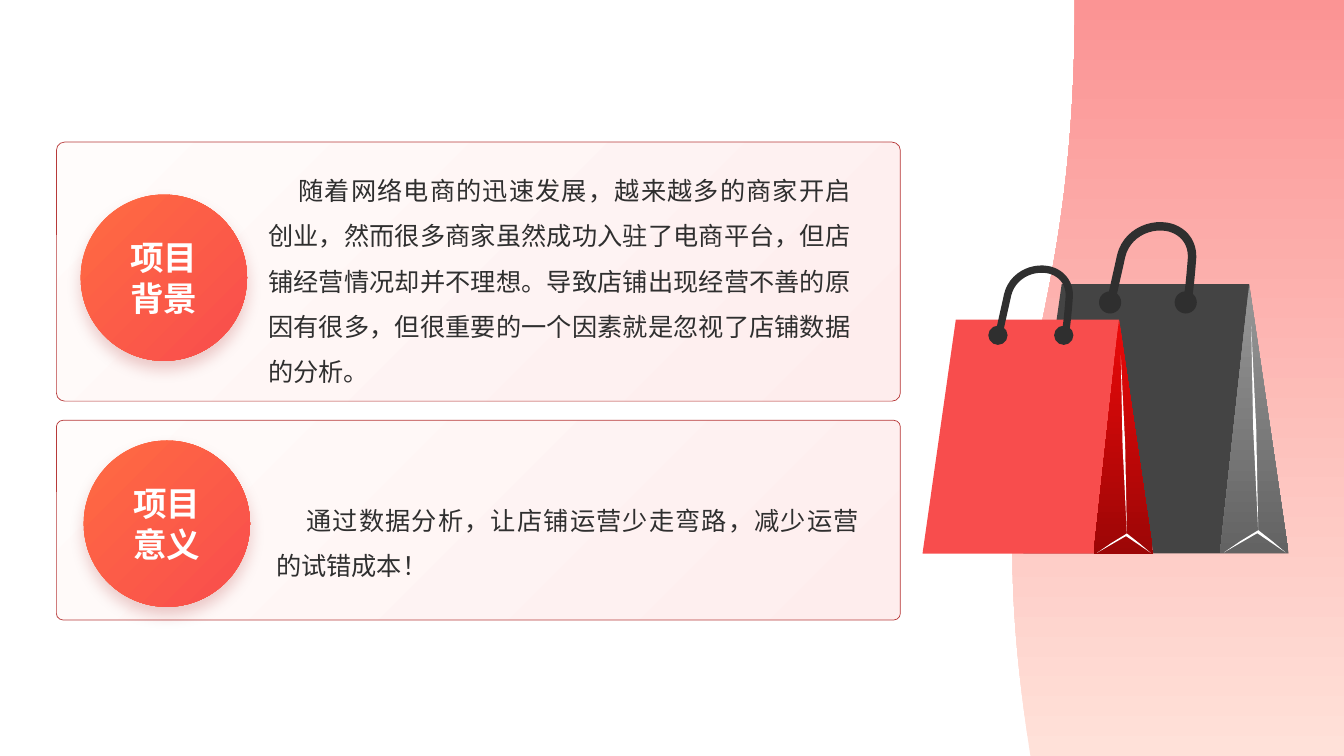
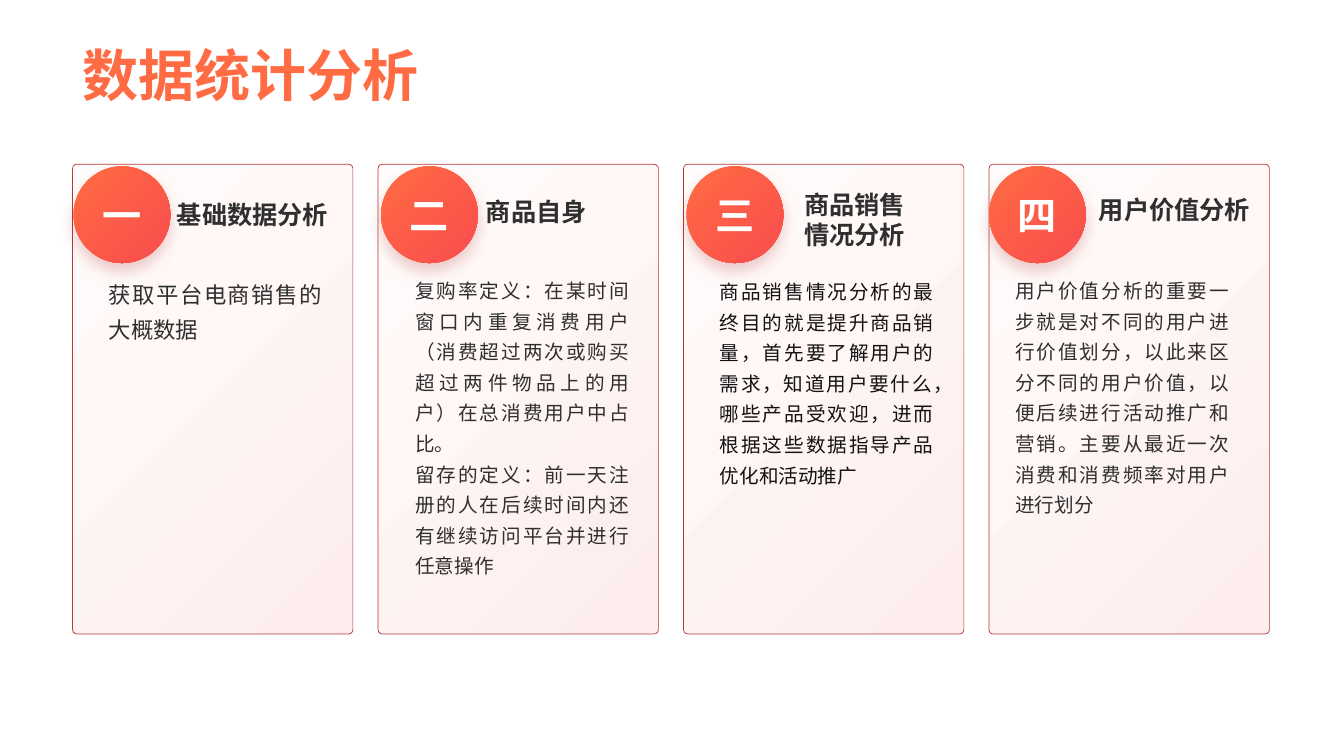
from dataclasses import dataclass

from lxml.etree import SubElement
from pptx import Presentation
from pptx.dml.color import RGBColor
from pptx.enum.shapes import MSO_SHAPE as Shape
from pptx.enum.text import MSO_ANCHOR as Anchor, MSO_AUTO_SIZE as AutoSize, PP_ALIGN as Align
from pptx.oxml.ns import qn
from pptx.util import Inches, Pt


@dataclass(frozen=True)
class Theme:
    ink: str = "2F2F2F"
    black: str = "121212"
    white: str = "FFFFFF"
    coral: str = "FF6B42"
    border: str = "B73939"
    shadow: str = "9C0606"
    panel: tuple = ("FFFCFB", "FEEDED")
    badge: tuple = ("FF6B42", "F84D4D")
    wave: tuple = ("FFE1D9", "FB9494")
    dark_bag: tuple = ("444444", ("979797", "636363"))
    red_bag: tuple = ("F84D4D", ("EB0909", "9C0606"))
    latin: str = "Arial"
    latin_alt: str = "Calibri"
    chinese: str = "Noto Sans CJK SC"
    title_size: int = 40
    number_size: int = 28
    badge_size: int = 24
    text_size: int = 18
    lead_size: int = 16
    small_size: int = 14


theme = Theme()


def decorate(shape, colours=None, angle=45, border=None, width=0.5):
    """Fill with one colour, a gradient pair turned clockwise by angle, or nothing."""
    shape.shadow.inherit = False
    if colours is None:
        shape.fill.background()
    elif isinstance(colours, str):
        shape.fill.solid()
        shape.fill.fore_color.rgb = RGBColor.from_string(colours)
    else:
        shape.fill.gradient()
        shape.fill.gradient_angle = -angle % 360
        for stop, colour in zip(shape.fill.gradient_stops, colours):
            stop.color.rgb = RGBColor.from_string(colour)
    if border:
        shape.line.color.rgb = RGBColor.from_string(border)
        shape.line.width = Pt(width)
    else:
        shape.line.fill.background()


def write(frame, text, size=theme.text_size, colour=theme.ink, font=theme.latin, bold=False,
          align=Align.LEFT, spacing=1.0, indent=0, anchor=Anchor.TOP, fit=AutoSize.NONE):
    frame.word_wrap = True
    frame.auto_size = fit
    frame.vertical_anchor = anchor
    for index, line in enumerate(text.split("\n")):
        para = frame.add_paragraph() if index else frame.paragraphs[0]
        para.alignment = align
        para.line_spacing = spacing
        if indent:
            para._p.get_or_add_pPr().set("indent", str(Inches(indent)))
        span = para.add_run()
        span.text = line
        span.font.size = Pt(size)
        span.font.bold = bold
        span.font.name = font
        span.font.color.rgb = RGBColor.from_string(colour)
        properties = span._r.get_or_add_rPr()
        properties.set("lang", "zh-CN")
        SubElement(properties, qn("a:ea"), typeface=theme.chinese)


deck = Presentation()
deck.slide_width, deck.slide_height = Inches(13.33), Inches(7.5)
project = deck.slides.add_slide(deck.slide_layouts[6])
analysis = deck.slides.add_slide(deck.slide_layouts[5])

title = analysis.shapes.title
title.left, title.top, title.width, title.height = map(Inches, (0.72, 0.01, 11.88, 1.12))
write(title.text_frame, "数据统计分析", size=theme.title_size, colour=theme.coral, bold=True,
      spacing=0.9, anchor=Anchor.BOTTOM)

# Wave at the right edge
wave = project.shapes.add_shape(
    Shape.FLOWCHART_DOCUMENT, *map(Inches, (7.92, 2.08, 7.5, 3.34)))
wave.rotation = 90
wave._element.spPr.find(qn("a:xfrm")).set("flipH", "1")
decorate(wave, theme.wave, angle=0)

# What the panels, badges and texts hold
panels = [(project, (0.56, 1.41, 8.37, 2.57), 0.032), (project, (0.56, 4.17, 8.37, 1.98), 0.032)]
badges = [
    (project, "项目\n背景", (0.8, 1.93), 1.65, theme.badge_size),
    (project, "项目\n意义", (0.83, 4.37), 1.65, theme.badge_size),
]
statement = dict(align=Align.JUSTIFY, spacing=1.5, indent=0.3)
texts = [
    (project, (2.56, 1.54, 5.98, 2.32),
     "随着网络电商的迅速发展，越来越多的商家开启创业，然而很多商家虽然成功入驻了电商平台，"
     "但店铺经营情况却并不理想。导致店铺出现经营不善的原因有很多，"
     "但很重要的一个因素就是忽视了店铺数据的分析。", statement),
    (project, (2.64, 4.81, 5.98, 0.96),
     "通过数据分析，让店铺运营少走弯路，减少运营的试错成本！",
     dict(statement, font=theme.latin_alt)),
]

heading = dict(font=theme.chinese, bold=True, align=Align.CENTER)
body = dict(size=theme.small_size, align=Align.JUSTIFY, spacing=1.3)
cards = [
    ("一", 0.73, "基础数据分析", (1.62, 1.93, 1.77, 0.41), heading,
     "获取平台电商销售的大概数据", (0.98, 2.66, 2.31, 0.77), dict(body, size=theme.lead_size)),
    ("二", 3.78, "商品自身", (4.72, 1.9, 1.78, 0.4), dict(heading, align=Align.LEFT),
     "复购率定义：在某时间窗口内重复消费用户（消费超过两次或购买超过两件物品上的用户）"
     "在总消费用户中占比。\n留存的定义：前一天注册的人在后续时间内还有继续访问平台并进行任意操作",
     (4.02, 2.65, 2.32, 2.83), body),
    ("三", 6.81, "商品销售情况分析", (7.76, 1.83, 1.43, 0.71), heading,
     "商品销售情况分析的最终目的就是提升商品销量，首先要了解用户的需求，知道用户要什么，"
     "哪些产品受欢迎，进而根据这些数据指导产品优化和活动推广",
     (7.04, 2.66, 2.32, 2.2), dict(body, font=theme.chinese, colour=theme.black)),
    ("四", 9.81, "用户价值分析", (10.78, 1.88, 1.74, 0.41), heading,
     "用户价值分析的重要一步就是对不同的用户进行价值划分，以此来区分不同的用户价值，"
     "以便后续进行活动推广和营销。主要从最近一次消费和消费频率对用户进行划分",
     (9.97, 2.65, 2.32, 2.52), body),
]
card_width = 2.78
card_pitch = 3.03
for index, (number, badge_left, name, name_box, name_format,
            detail, detail_box, detail_format) in enumerate(cards):
    panels.append((analysis, (0.72 + index * card_pitch, 1.63, card_width, 4.66), 0.015))
    badges.append((analysis, number, (badge_left, 1.65), 0.96, theme.number_size))
    texts.append((analysis, name_box, name, name_format))
    texts.append((analysis, detail_box, detail, detail_format))

for slide, place, corner in panels:
    panel = slide.shapes.add_shape(Shape.ROUNDED_RECTANGLE, *map(Inches, place))
    panel.adjustments[0] = corner
    decorate(panel, theme.panel, border=theme.border)

for slide, label, place, diameter, size in badges:
    badge = slide.shapes.add_shape(Shape.OVAL, *map(Inches, (*place, diameter, diameter)))
    decorate(badge, theme.badge)
    effects = badge._element.spPr.find(qn("a:effectLst"))
    shadow = SubElement(effects, qn("a:outerShdw"), blurRad=str(Pt(11)), dist=str(Pt(6)),
                        dir="5400000", algn="t", rotWithShape="0")
    shade = SubElement(shadow, qn("a:srgbClr"), val=theme.shadow)
    SubElement(shade, qn("a:alpha"), val="20000")
    write(badge.text_frame, label, size=size, colour=theme.white, bold=True,
          align=Align.CENTER, anchor=Anchor.MIDDLE)

for slide, place, text, text_format in texts:
    box = slide.shapes.add_textbox(*map(Inches, place))
    write(box.text_frame, text, fit=AutoSize.SHAPE_TO_FIT_TEXT, **text_format)

# Shopping bags, in inches from the top left of the large bag
front = [(0.38, 0), (2.24, 0), (2.63, 2.67), (0, 2.67)]
side = [(2.24, 0), (1.95, 2.67), (2.63, 2.67)]
fold = [(1.99, 2.66), (2.15, 2.55), (2.33, 2.44), (2.47, 2.55), (2.6, 2.66), (2.32, 2.47)]
crease = [(2.33, 2.46), (2.28, 1.43), (2.26, 0.41), (2.31, 1.43)]
knobs = [(0.86, 0.18), (1.61, 0.18)]
knob_radius = 0.11
handle_curves = [
    [(0.87, 0.18), (0.87, 0.16), (0.92, -0.05), (0.97, -0.28)],
    [(0.97, -0.28), (1.02, -0.49), (1.23, -0.6), (1.42, -0.57)],
    [(1.42, -0.57), (1.55, -0.55), (1.7, -0.44), (1.67, -0.22)],
    [(1.67, -0.22), (1.65, 0.04), (1.63, 0.17), (1.62, 0.18)],
]
curve_steps = 12
handle = []
for curve in handle_curves:
    for step in range(curve_steps + 1):
        t = step / curve_steps
        weights = ((1 - t) ** 3, 3 * t * (1 - t) ** 2, 3 * t ** 2 * (1 - t), t ** 3)
        handle.append(tuple(sum(weight * point[axis] for weight, point in zip(weights, curve))
                            for axis in (0, 1)))

for left, top, scale, (front_fill, side_fill) in [
    (10.15, 2.82, 1, theme.dark_bag),
    (9.15, 3.17, 0.87, theme.red_bag),
]:
    for outline, fill in [(front, front_fill), (side, side_fill), (handle, None),
                          (fold, theme.white), (crease, theme.white)]:
        points = [(Inches(left + x * scale), Inches(top + y * scale)) for x, y in outline]
        builder = project.shapes.build_freeform(*points[0])
        builder.add_line_segments(points[1:], close=outline is not handle)
        piece = builder.convert_to_shape()
        decorate(piece, fill, angle=90, border=theme.ink if outline is handle else None,
                 width=6 * scale)
    for x, y in knobs:
        knob = project.shapes.add_shape(
            Shape.OVAL, Inches(left + (x - knob_radius) * scale),
            Inches(top + (y - knob_radius) * scale),
            *[Inches(2 * knob_radius * scale)] * 2)
        decorate(knob, theme.ink)

deck.save("out.pptx")
